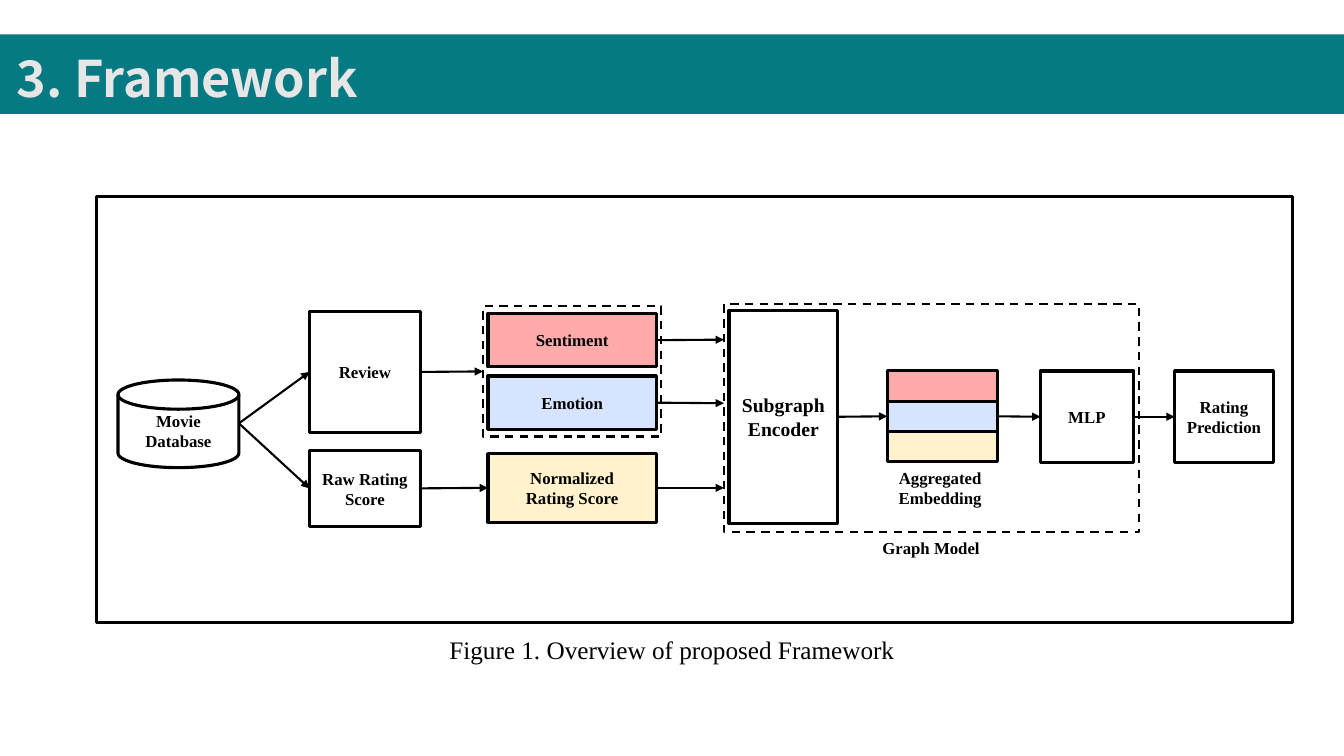
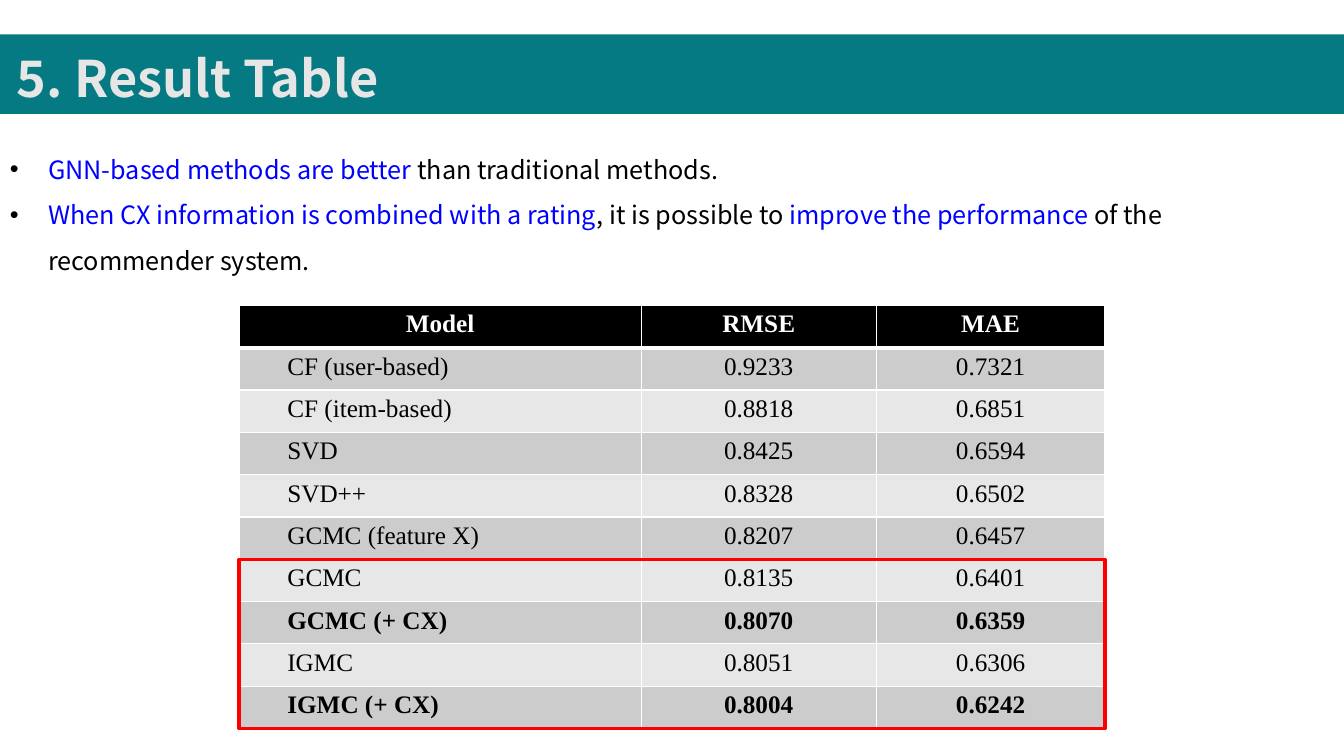
"""Build two slides on a rating framework: its flow and its results."""
from lxml.etree import SubElement
from pptx import Presentation
from pptx.dml.color import RGBColor
from pptx.enum.dml import MSO_LINE
from pptx.enum.shapes import MSO_CONNECTOR, MSO_SHAPE
from pptx.enum.text import MSO_ANCHOR, MSO_AUTO_SIZE, PP_ALIGN
from pptx.oxml.ns import qn
from pptx.util import Inches, Pt

TEAL = RGBColor(0x06, 0x7A, 0x82)
PALE = RGBColor(0xE7, 0xE6, 0xE6)
BLACK = RGBColor(0, 0, 0)
WHITE = RGBColor(0xFF, 0xFF, 0xFF)
PINK = RGBColor(0xFF, 0xAB, 0xAB)
SKY = RGBColor(0xD7, 0xE4, 0xFF)
CREAM = RGBColor(0xFF, 0xF2, 0xCC)
BLUE = RGBColor(0, 0, 0xFF)
RED = RGBColor(0xFF, 0, 0)
DARK = RGBColor(0xCC, 0xCC, 0xCC)
LIGHT = RGBColor(0xE7, 0xE7, 0xE7)

SANS = "Noto Sans CJK KR"
SERIF = "Times New Roman"
WIDE, TALL = 13.33, 7.5
LEFT, RIGHT = 1, 3

ROWS = [
    ("Model", "RMSE", "MAE"),
    ("CF (user-based)", "0.9233", "0.7321"),
    ("CF (item-based)", "0.8818", "0.6851"),
    ("SVD", "0.8425", "0.6594"),
    ("SVD++", "0.8328", "0.6502"),
    ("GCMC (feature X)", "0.8207", "0.6457"),
    ("GCMC", "0.8135", "0.6401"),
    ("GCMC (+ CX)", "0.8070", "0.6359"),
    ("IGMC", "0.8051", "0.6306"),
    ("IGMC (+ CX)", "0.8004", "0.6242"),
]
POINTS = [
    [("GNN-based methods are better", BLUE),
     (" than traditional methods.", BLACK)],
    [("When CX information is combined with a rating", BLUE),
     (", it is possible to ", BLACK),
     ("improve the performance ", BLUE),
     ("of the recommender system.", BLACK)],
]


def dot(para):
    props = para._p.get_or_add_pPr()
    props.set("marL", str(Inches(0.38)))
    props.set("indent", str(Inches(-0.38)))
    tint = SubElement(props, qn("a:buClr"))
    SubElement(tint, qn("a:srgbClr"), val=str(BLACK))
    SubElement(props, qn("a:buFont"), typeface="Arial")
    SubElement(props, qn("a:buChar"), char="•")


def write(frame, text, size=12, font=SERIF, color=BLACK, bold=False,
          align=PP_ALIGN.CENTER, space=None, dots=False):
    frame.word_wrap = True
    lines = text.split("\n") if isinstance(text, str) else text
    for num, line in enumerate(lines):
        para = frame.add_paragraph() if num else frame.paragraphs[0]
        if dots:
            dot(para)
        para.alignment = align
        para.line_spacing = space
        parts = [(line, color)] if isinstance(line, str) else line
        for words, tint in parts:
            run = para.add_run()
            run.text = words
            run.font.size = Pt(size)
            run.font.name = font
            run.font.bold = bold
            run.font.color.rgb = tint


def box(slide, spot, text="", fill=None, line=BLACK, width=2.25, dash=False,
        kind=MSO_SHAPE.RECTANGLE, size=12):
    shape = slide.shapes.add_shape(kind, *map(Inches, spot))
    shape.shadow.inherit = False
    if fill is None:
        shape.fill.background()
    else:
        shape.fill.solid()
        shape.fill.fore_color.rgb = fill
    if line is None:
        shape.line.fill.background()
    else:
        shape.line.color.rgb = line
        shape.line.width = Pt(width)
    if dash:
        shape.line.dash_style = MSO_LINE.DASH
    if text:
        shape.text_frame.vertical_anchor = MSO_ANCHOR.MIDDLE
        write(shape.text_frame, text, size=size, bold=True)
    return shape


def label(slide, spot, text, anchor=MSO_ANCHOR.TOP, **style):
    frame = slide.shapes.add_textbox(*map(Inches, spot)).text_frame
    frame.vertical_anchor = anchor
    frame.auto_size = MSO_AUTO_SIZE.SHAPE_TO_FIT_TEXT
    write(frame, text, **style)


def arrow(slide, start, end):
    """Join boxes side to side, or use a point where one is given."""
    ends = [Inches(num) for spot in (start, end)
            for num in (spot if isinstance(spot, tuple) else (0, 0))]
    line = slide.shapes.add_connector(MSO_CONNECTOR.STRAIGHT, *ends)
    if not isinstance(start, tuple):
        line.begin_connect(start, RIGHT)
    if not isinstance(end, tuple):
        line.end_connect(end, LEFT)
    line.line.color.rgb = BLACK
    line.line.width = Pt(1.5)
    SubElement(line.line._get_or_add_ln(), qn("a:tailEnd"), type="triangle")
    SubElement(line._element.spPr, qn("a:effectLst"))


def start(deck, title):
    slide = deck.slides.add_slide(deck.slide_layouts[6])
    box(slide, (0, 0.34, WIDE, 0.79), fill=TEAL, line=None)
    label(slide, (0.07, 0.16, WIDE - 0.07, 0.92), title, MSO_ANCHOR.MIDDLE,
          size=36, font=SANS, color=PALE, bold=True, align=PP_ALIGN.LEFT,
          space=1.5)
    return slide


def edge(cell, side, width):
    line = SubElement(cell._tc.get_or_add_tcPr(), qn("a:ln" + side),
                      w=str(Pt(width)))
    fill = SubElement(line, qn("a:solidFill"))
    SubElement(fill, qn("a:srgbClr"), val=str(WHITE))


def grid(slide, left, top, cols, high):
    frame = slide.shapes.add_table(
        len(ROWS), len(cols), Inches(left), Inches(top),
        Inches(sum(cols)), Inches(high * len(ROWS)))
    table = frame.table
    for col, width in zip(table.columns, cols):
        col.width = Inches(width)
    for row, words in enumerate(ROWS):
        table.rows[row].height = Inches(high)
        head = row == 0
        fill = BLACK if head else DARK if row % 2 else LIGHT
        for col, text in enumerate(words):
            cell = table.cell(row, col)
            for side in "LRTB":
                thick = (head and side == "B") or (row == 1 and side == "T")
                edge(cell, side, 3 if thick else 1)
            cell.fill.solid()
            cell.fill.fore_color.rgb = fill
            name = col == 0 and not head
            if name:
                cell.margin_left = Inches(0.48)
            write(cell.text_frame, text, size=18,
                  color=WHITE if head else BLACK,
                  bold=head or "+ CX" in words[0],
                  align=PP_ALIGN.LEFT if name else PP_ALIGN.CENTER)


def flow(deck):
    slide = start(deck, "3. Framework")
    box(slide, (0.96, 1.95, 11.86, 4.23))
    box(slide, (1.17, 3.77, 1.2, 0.87), "Movie\nDatabase",
        kind=MSO_SHAPE.FLOWCHART_MAGNETIC_DISK)
    review = box(slide, (3.07, 3.09, 1.1, 1.2), "Review")
    raw = box(slide, (3.07, 4.47, 1.1, 0.75), "Raw Rating Score")
    mood = box(slide, (4.84, 3.11, 1.67, 0.53), "Sentiment", PINK)
    feel = box(slide, (4.84, 3.73, 1.67, 0.53), "Emotion", SKY)
    norm = box(slide, (4.84, 4.5, 1.67, 0.68), "Normalized\nRating Score",
               CREAM)
    pair = box(slide, (4.79, 3.04, 1.77, 1.29), width=1.5, dash=True)
    box(slide, (7.18, 3.02, 4.12, 2.26), width=1.5, dash=True)
    coder = box(slide, (7.23, 3.08, 1.08, 2.11), "Subgraph\nEncoder", WHITE,
                size=14)
    bands = [box(slide, (8.8, 3.68 + 0.3 * num, 1.09, 0.3), fill=fill)
             for num, fill in enumerate((PINK, SKY, CREAM))]
    dense = box(slide, (10.32, 3.68, 0.92, 0.91), "MLP")
    score = box(slide, (11.65, 3.68, 0.98, 0.91), "Rating\nPrediction")

    source = (2.37, 4.2)
    for first, last in [
            (source, review), (source, raw), (review, pair), (raw, norm),
            (mood, (7.18, 3.37)), (feel, (7.18, 4)), (norm, (7.18, 4.84)),
            (coder, bands[1]), (bands[1], dense), (dense, score)]:
        arrow(slide, first, last)

    label(slide, (8.69, 4.59, 1.27, 0.5), "Aggregated\nEmbedding", bold=True)
    label(slide, (8.6, 5.29, 1.27, 0.3), "Graph Model", bold=True)
    label(slide, (4.08, 6.24, 5.17, 0.4),
          "Figure 1. Overview of proposed Framework", size=18)


def result(deck):
    slide = start(deck, "5. Result Table")
    left, top, cols, high = 2.37, 3.03, (3.99, 2.33, 2.27), 0.42
    grid(slide, left, top, cols, high)
    box(slide, (left, top + 6 * high, sum(cols), 4 * high), line=RED)
    label(slide, (0, 1.33, WIDE, 1.7), POINTS, size=18, font=SANS,
          align=PP_ALIGN.LEFT, space=1.5, dots=True)


def main():
    deck = Presentation()
    deck.slide_width, deck.slide_height = Inches(WIDE), Inches(TALL)
    flow(deck)
    result(deck)
    deck.save("out.pptx")


if __name__ == "__main__":
    main()
